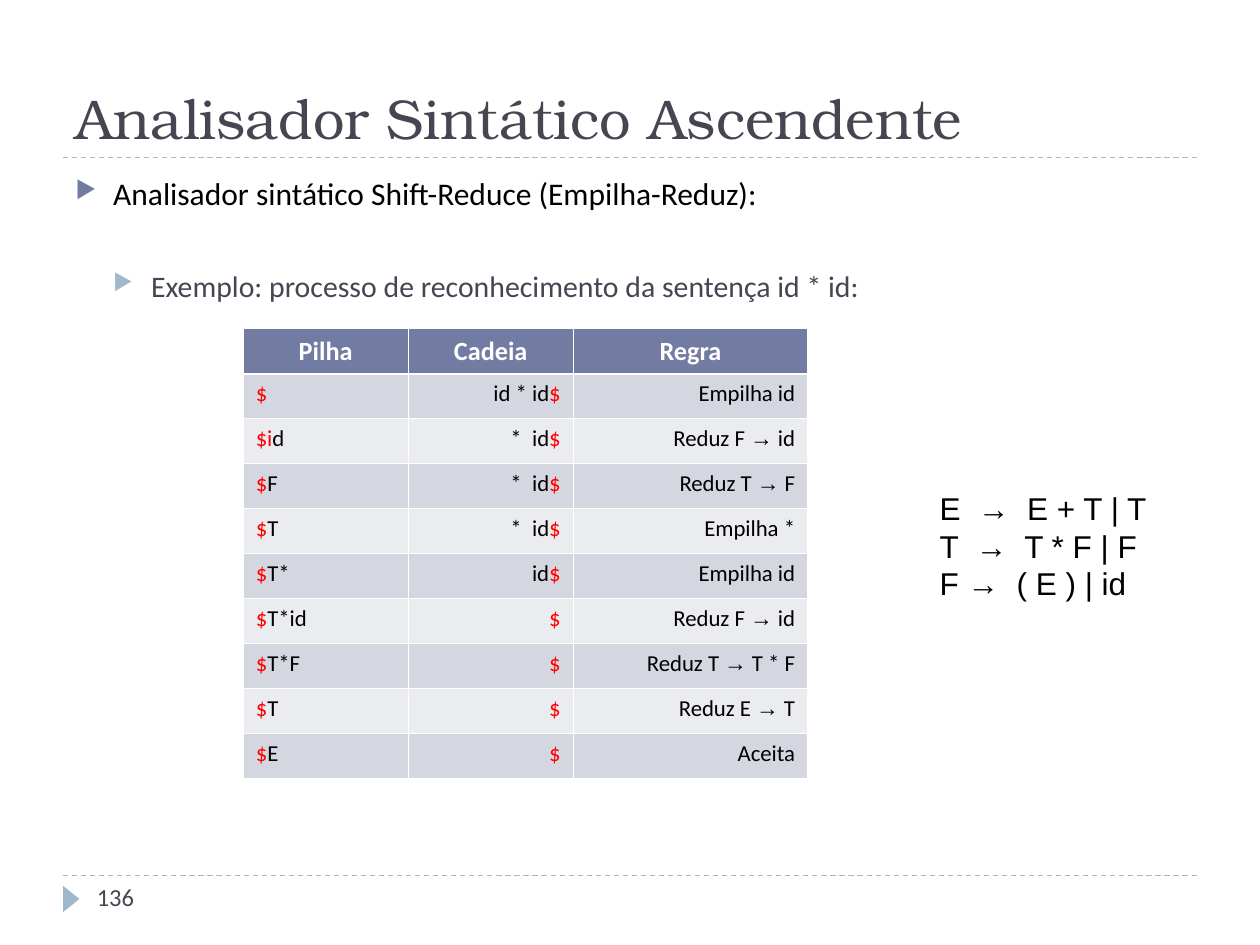
from lxml import etree
from pptx import Presentation
from pptx import util as u
from pptx.dml.color import RGBColor
from pptx.enum import dml, shapes, text
from pptx.oxml import ns

INK = RGBColor(0x46, 0x46, 0x53)
BLUE = RGBColor(0x72, 0x7C, 0xA3)
SKY = RGBColor(0x9F, 0xB8, 0xCD)
DARK = RGBColor(0xD5, 0xD7, 0xE0)
PALE = RGBColor(0xEB, 0xEC, 0xF0)
RED = RGBColor(0xFF, 0, 0)
BLACK = RGBColor(0, 0, 0)
WHITE = RGBColor(0xFF, 0xFF, 0xFF)

HEADS = ("Pilha", "Cadeia", "Regra")
STEPS = (
    ("$", "id * id~$", "Empilha id"),
    ("$i~d", "*  id~$", "Reduz F ~→~ id"),
    ("$~F", "*  id~$", "Reduz T ~→~ F"),
    ("$~T", "*  id~$", "Empilha *"),
    ("$~T*", "id~$", "Empilha id"),
    ("$~T*id", "$", "Reduz F ~→~ id"),
    ("$~T*F", "$", "Reduz T ~→~ T * F"),
    ("$~T", "$", "Reduz E ~→~ T"),
    ("$~E", "$", "Aceita"),
)
RULES = ("E  →  E + T | T", "T  →  T * F | F", "F →  ( E ) | id")


def style(font, name, size, color, bold=False):
    """Set the look of a font."""
    font.name, font.size, font.bold = name, u.Pt(size), bold
    font.color.rgb = color


def add_box(slide, at, lines, name, size, color, wrap=True):
    """Add a text box with one paragraph per line."""
    frame = slide.shapes.add_textbox(*map(u.Inches, at)).text_frame
    frame.word_wrap = wrap
    frame.text = "\n".join(lines)
    for para in frame.paragraphs:
        style(para.font, name, size, color)
    return frame


def add_mark(para, left, color):
    """Give a paragraph a hanging triangle bullet."""
    props = para._p.get_or_add_pPr()
    props.set("marL", str(u.Inches(left)))
    props.set("indent", str(-u.Inches(0.3)))
    tint = etree.SubElement(props, ns.qn("a:buClr"))
    etree.SubElement(tint, ns.qn("a:srgbClr"), val=str(color))
    etree.SubElement(props, ns.qn("a:buSzPct"), val="76000")
    etree.SubElement(props, ns.qn("a:buChar"), char="▶")


def add_rule(slide, top):
    """Draw a dashed line across the slide."""
    y = u.Inches(top)
    rule = slide.shapes.add_connector(
        shapes.MSO_CONNECTOR.STRAIGHT, u.Inches(0.5), y, u.Inches(9.5), y)
    rule.line.color.rgb = SKY
    rule.line.width = u.Pt(0.75)
    rule.line.dash_style = dml.MSO_LINE.DASH
    etree.SubElement(rule._element.spPr, ns.qn("a:effectLst"))


def add_title(slide, words):
    """Place and format the title."""
    title = slide.shapes.title
    title.left, title.top, title.width, title.height = map(
        u.Inches, (0.5, 0.17, 9, 1.08))
    frame = title.text_frame
    frame.text = words
    frame.auto_size = text.MSO_AUTO_SIZE.NONE
    frame.vertical_anchor = text.MSO_ANCHOR.BOTTOM
    para = frame.paragraphs[0]
    para.alignment = text.PP_ALIGN.LEFT
    style(para.font, "TeX Gyre Bonum", 32, INK)


def add_body(slide):
    """Add the two bulleted lines."""
    frame = add_box(slide, (0.5, 1.33, 8.12, 5.4), (
        "Analisador sintático Shift-Reduce (Empilha-Reduz):",
        "Exemplo: processo de reconhecimento da sentença id * id:",
    ), "Calibri", 18, BLACK)
    head, item = frame.paragraphs
    add_mark(head, 0.3, BLUE)
    item.level = 1
    item.space_before = u.Pt(32)
    add_mark(item, 0.6, SKY)
    style(item.font, "Calibri", 17, INK)


def add_arrow(slide):
    """Add the triangle beside the page number."""
    mark = slide.shapes.add_shape(
        shapes.MSO_SHAPE.ISOSCELES_TRIANGLE,
        *map(u.Inches, (0.46, 7.07, 0.21, 0.13)))
    mark.rotation = 90
    mark.shadow.inherit = False
    mark.fill.solid()
    mark.fill.fore_color.rgb = SKY
    mark.line.fill.background()


def set_edges(cell, row):
    """Draw white borders, thicker under the header row."""
    thick = {"lnB": 0, "lnT": 1}
    props = cell._tc.get_or_add_tcPr()
    for side in ("lnL", "lnR", "lnT", "lnB"):
        width = 1.47 if thick.get(side) == row else 0.45
        line = etree.SubElement(props, ns.qn("a:" + side), w=str(u.Pt(width)))
        fill = etree.SubElement(line, ns.qn("a:solidFill"))
        etree.SubElement(fill, ns.qn("a:srgbClr"), val=str(WHITE))


def fill_cell(cell, words, row, col):
    """Write one cell, with red stack marks and Arial arrows."""
    set_edges(cell, row)
    cell.fill.solid()
    cell.fill.fore_color.rgb = (DARK if row % 2 else PALE) if row else BLUE
    para = cell.text_frame.paragraphs[0]
    side = text.PP_ALIGN.RIGHT if col else text.PP_ALIGN.LEFT
    para.alignment = side if row else text.PP_ALIGN.CENTER
    for part in words.split("~"):
        run = para.add_run()
        run.text = part
        if row:
            color = RED if part.startswith("$") else BLACK
            style(run.font, "Arial" if part == "→" else "Calibri", 13, color)
        else:
            style(run.font, "Calibri", 15, WHITE, True)


def add_steps(slide):
    """Add the table of parsing steps."""
    rows = (HEADS, *STEPS)
    table = slide.shapes.add_table(
        len(rows), len(HEADS),
        *map(u.Inches, (1.93, 2.61, 4.48, 3.57))).table
    for col, width in zip(table.columns, (1.31, 1.31, 1.86)):
        col.width = u.Inches(width)
    for r, row in enumerate(rows):
        for c, words in enumerate(row):
            fill_cell(table.cell(r, c), words, r, c)


def main():
    """Build the slide and save it."""
    deck = Presentation()
    deck.slide_width, deck.slide_height = u.Inches(10), u.Inches(7.5)
    slide = deck.slides.add_slide(deck.slide_layouts[5])
    for top in (6.95, 1.25):
        add_rule(slide, top)
    add_arrow(slide)
    add_title(slide, "Analisador Sintático Ascendente")
    add_body(slide)
    add_box(slide, (0.67, 6.95, 2.17, 0.4), ["136"], "Calibri", 14, INK)
    add_box(slide, (7.36, 3.83, 1.92, 1), RULES, "Arial", 18, BLACK, False)
    add_steps(slide)
    deck.save("out.pptx")


if __name__ == "__main__":
    main()
